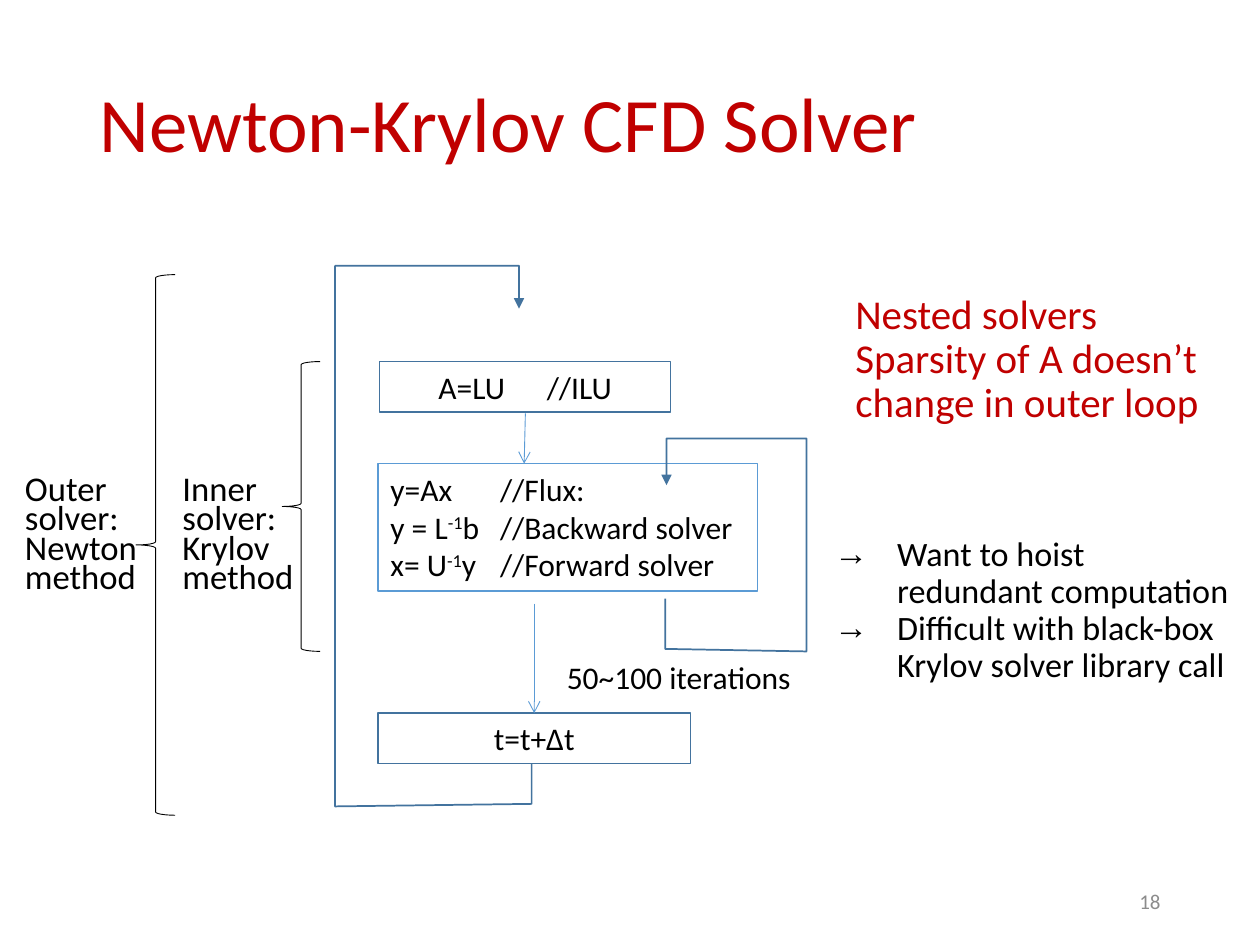
"""Build the Newton-Krylov CFD solver flow slide."""
import pptx
import pptx.util
import pptx.dml.color
import pptx.enum.shapes
import pptx.enum.text
import pptx.oxml
import lxml.etree

Inches, Pt = pptx.util.Inches, pptx.util.Pt
SHAPE = pptx.enum.shapes.MSO_SHAPE
ALIGN = pptx.enum.text.PP_ALIGN
ANCHOR = pptx.enum.text.MSO_ANCHOR
rgb = pptx.dml.color.RGBColor.from_string
A = "{http://schemas.openxmlformats.org/drawingml/2006/main}"
RED, BLUE, LIGHT_BLUE, BLACK, GRAY = "C00000", "43739E", "5B9BD5", "000000", "8C8C8C"


def write(sp, lines, size, color, anchor=ANCHOR.TOP, align=ALIGN.LEFT, spacing=1.0):
    """Fill a shape with paragraphs, raising each exponent -1."""
    tf = sp.text_frame
    tf.word_wrap = True
    tf.auto_size = pptx.enum.text.MSO_AUTO_SIZE.NONE
    tf.vertical_anchor = anchor
    for i, line in enumerate(lines):
        p = tf.paragraphs[0] if i == 0 else tf.add_paragraph()
        p.alignment = align
        p.line_spacing = spacing
        p.space_before = Pt(0)
        before, exponent, after = line.partition("-1")
        for part in filter(None, (before, exponent, after)):
            r = p.add_run()
            r.text = part
            r.font.size = Pt(size)
            r.font.name = "Calibri"
            r.font.color.rgb = rgb(color)
            if part == "-1":
                r.font._element.set("baseline", "30000")


def outline(sp, color, width, arrow=None):
    """Set a plain line, with an optional arrowhead at its end."""
    sp.line.color.rgb = rgb(color)
    sp.line.width = Pt(width)
    if arrow:
        lxml.etree.SubElement(sp.line._get_or_add_ln(), A + "tailEnd", type=arrow)


prs = pptx.Presentation()
prs.slide_width, prs.slide_height = Inches(10), Inches(7.5)
s = prs.slides.add_slide(prs.slide_layouts[1])

title, body = s.placeholders[0], s.placeholders[1]
for sp, box in ((title, (0.69, 0.29, 8.62, 1.45)), (body, (6.52, 3.91, 3.4, 1.88))):
    sp.left, sp.top, sp.width, sp.height = map(Inches, box)
write(title, ["Newton-Krylov CFD Solver"], 44, RED, ANCHOR.MIDDLE, spacing=0.9)
write(body, ["Want to hoist redundant computation",
             "Difficult with black-box Krylov solver library call"],
      19.5, BLACK, ANCHOR.MIDDLE, spacing=0.9)
for p in body.text_frame.paragraphs:
    pPr = p._p.get_or_add_pPr()
    pPr.set("marL", str(Inches(0.5)))
    pPr.set("indent", str(Inches(-0.5)))
    lxml.etree.SubElement(pPr, A + "buChar", char="→")

MID = ANCHOR.MIDDLE
labels = [
    ((0.1, 3.73, 1.3, 1.06), ["Outer solver:", "Newton method"], 19.8, BLACK, MID, ALIGN.LEFT, 0.7),
    ((1.35, 3.73, 1.26, 1.06), ["Inner solver:", "Krylov method"], 19.8, BLACK, MID, ALIGN.LEFT, 0.7),
    ((6.69, 2.15, 3.04, 1.42), ["Nested solvers", "Sparsity of A doesn’t change in outer loop"],
     23.4, RED, MID, ALIGN.LEFT, 0.9),
    ((4.4, 5.17, 2.02, 0.4), ["50~100 iterations"], 18, BLACK, ANCHOR.TOP, ALIGN.LEFT, 1.0),
    ((7.06, 6.95, 2.25, 0.4), ["18"], 12, GRAY, MID, ALIGN.RIGHT, 1.0),
]
for box, *text in labels:
    write(s.shapes.add_textbox(*map(Inches, box)), *text)

steps = [
    ((3.01, 2.87, 2.31, 0.4), ["A=LU\t//ILU"], BLUE, ALIGN.LEFT, 0.47, 0.86),
    ((3, 3.68, 3.01, 1.01), ["y=Ax\t//Flux:", "y = L-1b\t//Backward solver",
                             "x= U-1y\t//Forward solver"], LIGHT_BLUE, ALIGN.LEFT, 0.1, 0.87),
    ((3, 5.66, 2.48, 0.4), ["t=t+Δt"], BLUE, ALIGN.CENTER, 0.1, None),
]
for box, lines, color, align, inset, tab in steps:
    sp = s.shapes.add_shape(SHAPE.RECTANGLE, *map(Inches, box))
    sp.shadow.inherit = False
    sp.fill.background()
    outline(sp, color, 0.75)
    write(sp, lines, 18, BLACK, align=align)
    sp.text_frame.margin_left = Inches(inset)
    if tab:
        for p in sp.text_frame.paragraphs:
            tabs = lxml.etree.SubElement(p._p.get_or_add_pPr(), A + "tabLst")
            lxml.etree.SubElement(tabs, A + "tab", pos=str(Inches(tab)), algn="l")

for box in ((1.08, 2.18, 0.31, 4.29), (2.24, 2.87, 0.3, 2.3)):
    brace = s.shapes.add_shape(SHAPE.LEFT_BRACE, *map(Inches, box))
    brace.shadow.inherit = False
    brace.fill.background()
    outline(brace, BLACK, 0.5)

inner_loop = [(5.28, 4.75), (5.28, 5.15), (6.4, 5.17), (6.4, 3.48), (5.29, 3.48), (5.29, 3.85)]
outer_loop = [(4.22, 6.06), (4.22, 6.38), (2.66, 6.4), (2.66, 2.11), (4.12, 2.11), (4.12, 2.45)]
for points in (inner_loop, outer_loop):
    start, *rest = [(Inches(x), Inches(y)) for x, y in points]
    fb = s.shapes.build_freeform(*start)
    fb.add_line_segments(rest, close=False)
    loop = fb.convert_to_shape()
    loop.shadow.inherit = False
    loop.fill.background()
    outline(loop, BLUE, 1, "triangle")

for ends in ((4.17, 3.28, 4.16, 3.68), (4.24, 4.79, 4.24, 5.66)):
    arrow = s.shapes.add_connector(pptx.enum.shapes.MSO_CONNECTOR.STRAIGHT, *map(Inches, ends))
    outline(arrow, LIGHT_BLUE, 0.5, "arrow")
    lxml.etree.SubElement(arrow._element.spPr, A + "effectLst")

prs.save("out.pptx")
